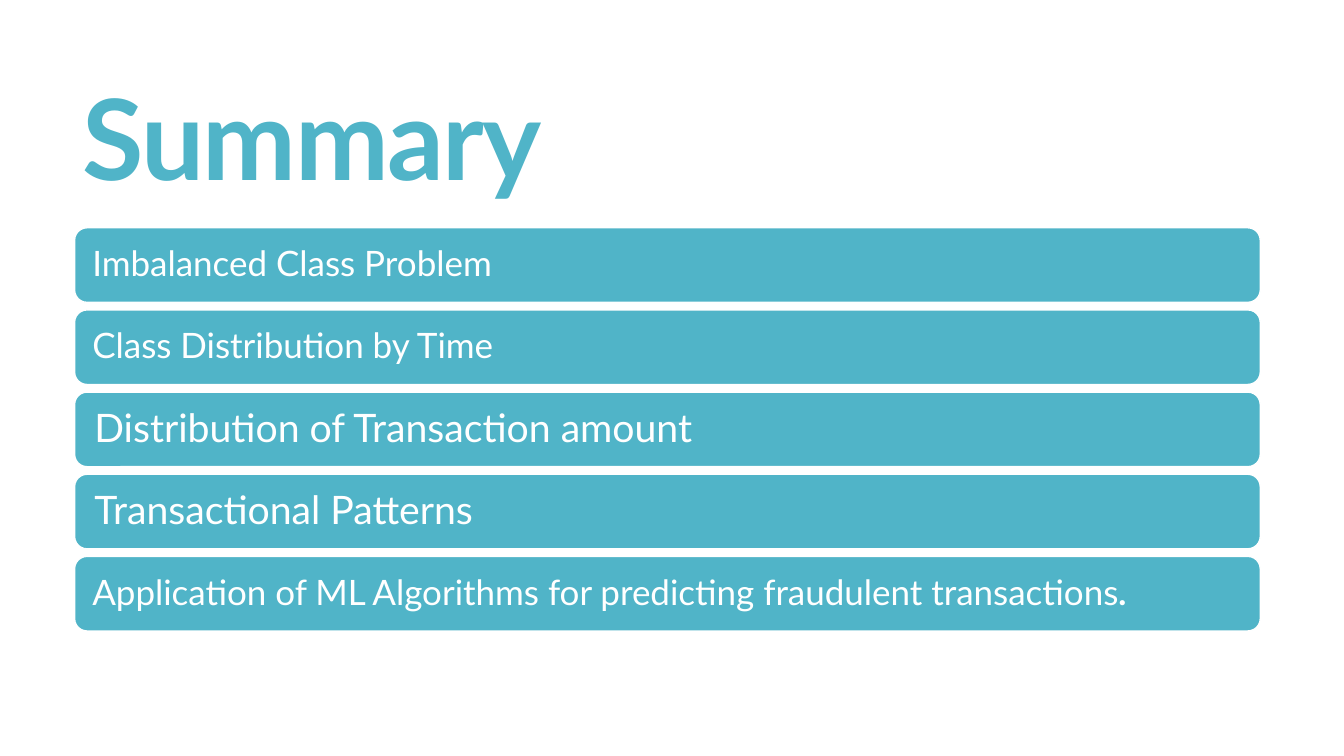
from dataclasses import dataclass

from pptx import Presentation
from pptx.dml.color import RGBColor
from pptx.enum.shapes import MSO_SHAPE as Preset
from pptx.enum.text import MSO_ANCHOR as Anchor, MSO_AUTO_SIZE as AutoSize, PP_ALIGN as Align
from pptx.slide import Slide
from pptx.util import Inches, Pt

SLIDE_WIDTH, SLIDE_HEIGHT = 13.33, 7.5
TEAL, WHITE = "50B4C8", "FFFFFF"
HEADING_FONT, STOP_FONT = "Lato", "Calibri"

# Bar grid, in inches
BAR_LEFT, BAR_WIDTH = 0.74, 11.76
FIRST_ROW, LAST_ROW, BAR_HEIGHT = 2.26, 5.52, 0.74


@dataclass(frozen=True)
class Topic:
    text: str
    size: int = 25
    inset: float = 0.14
    full_stop: bool = False


TOPICS = [
    Topic("Imbalanced Class Problem"),
    Topic("Class Distribution by Time"),
    Topic("Distribution of Transaction amount", size=28, inset=0.16),
    Topic("Transactional Patterns", size=28, inset=0.16),
    Topic("Application of ML Algorithms for predicting fraudulent transactions", full_stop=True),
]


def rgb(hex_code: str) -> RGBColor:
    return RGBColor.from_string(hex_code)


def format_run(run, size: int, color: str, font: str = HEADING_FONT,
               bold: bool = False, italic: bool = False) -> None:
    run.font.name = font
    run.font.size = Pt(size)
    run.font.bold = bold
    run.font.italic = italic
    run.font.color.rgb = rgb(color)


def add_heading(slide: Slide, text: str) -> None:
    heading = slide.shapes.title
    heading.left, heading.top = Inches(0.72), Inches(0.55)
    heading.width, heading.height = Inches(11.78), Inches(1.81)
    frame = heading.text_frame
    frame.text = text
    frame.auto_size = AutoSize.NONE
    frame.vertical_anchor = Anchor.MIDDLE
    paragraph = frame.paragraphs[0]
    paragraph.alignment = Align.LEFT
    paragraph.line_spacing = 0.85
    run = paragraph.runs[0]
    format_run(run, 80, TEAL, bold=True)
    run.font._element.set("spc", "-120")


def add_topic_bar(slide: Slide, topic: Topic, row: int) -> None:
    pitch = (LAST_ROW - FIRST_ROW) / (len(TOPICS) - 1)
    bar = slide.shapes.add_shape(
        Preset.ROUNDED_RECTANGLE, Inches(BAR_LEFT), Inches(FIRST_ROW + row * pitch),
        Inches(BAR_WIDTH), Inches(BAR_HEIGHT))
    bar.shadow.inherit = False
    bar.fill.solid()
    bar.fill.fore_color.rgb = rgb(TEAL)
    bar.line.color.rgb = rgb(WHITE)
    bar.line.width = Pt(1)

    frame = bar.text_frame
    frame.text = topic.text
    frame.word_wrap = True
    frame.vertical_anchor = Anchor.MIDDLE
    frame.margin_left = frame.margin_right = Inches(topic.inset)
    frame.margin_top = frame.margin_bottom = Inches(topic.inset)
    paragraph = frame.paragraphs[0]
    paragraph.alignment = Align.LEFT
    paragraph.line_spacing = 0.9
    format_run(paragraph.runs[0], topic.size, WHITE)
    if topic.full_stop:
        stop = paragraph.add_run()
        stop.text = "."
        format_run(stop, topic.size, WHITE, STOP_FONT, bold=True, italic=True)


def main() -> None:
    deck = Presentation()
    deck.slide_width, deck.slide_height = Inches(SLIDE_WIDTH), Inches(SLIDE_HEIGHT)
    slide = deck.slides.add_slide(deck.slide_layouts.get_by_name("Title Only"))
    add_heading(slide, "Summary")
    for row, topic in enumerate(TOPICS):
        add_topic_bar(slide, topic, row)
    deck.save("out.pptx")


if __name__ == "__main__":
    main()
